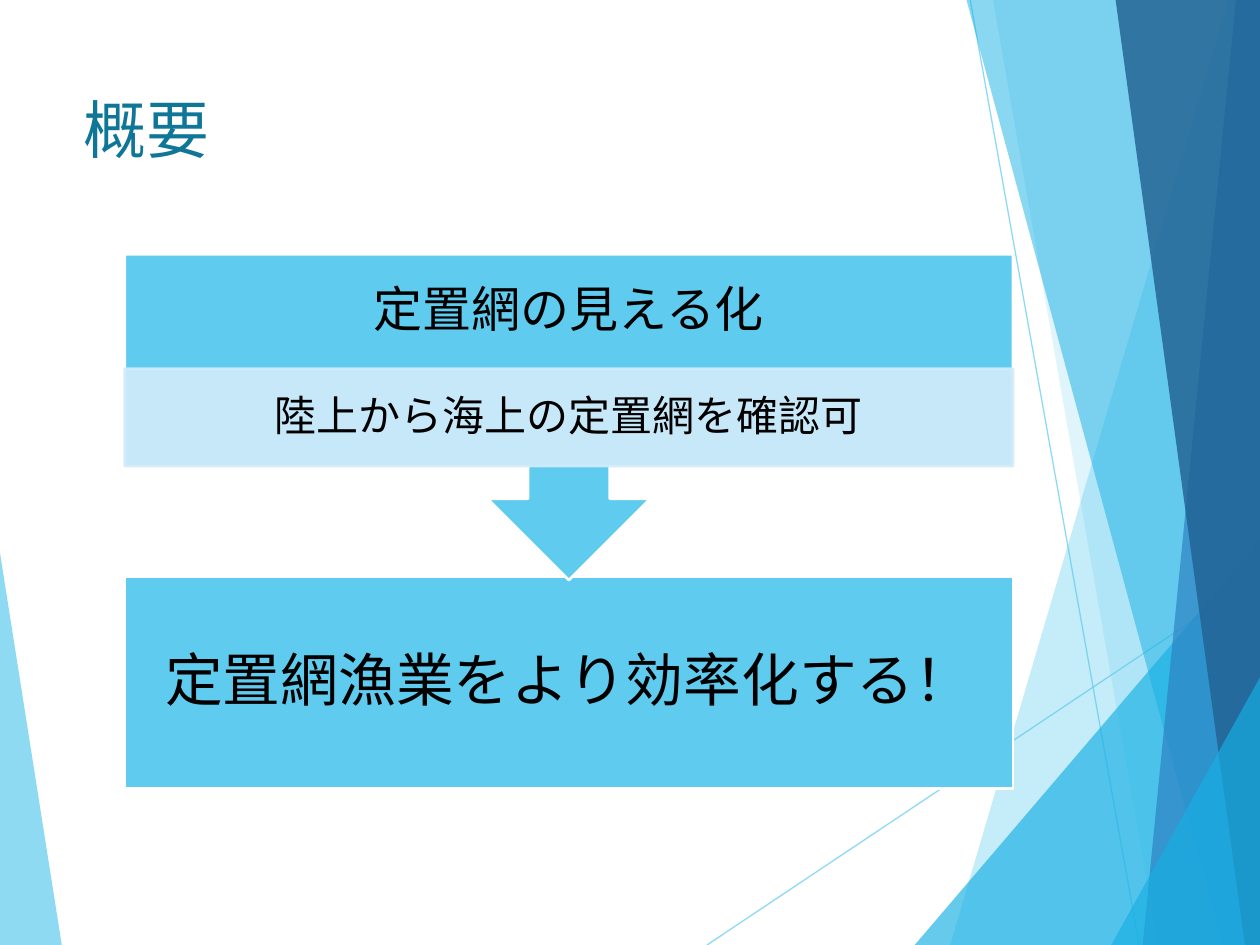
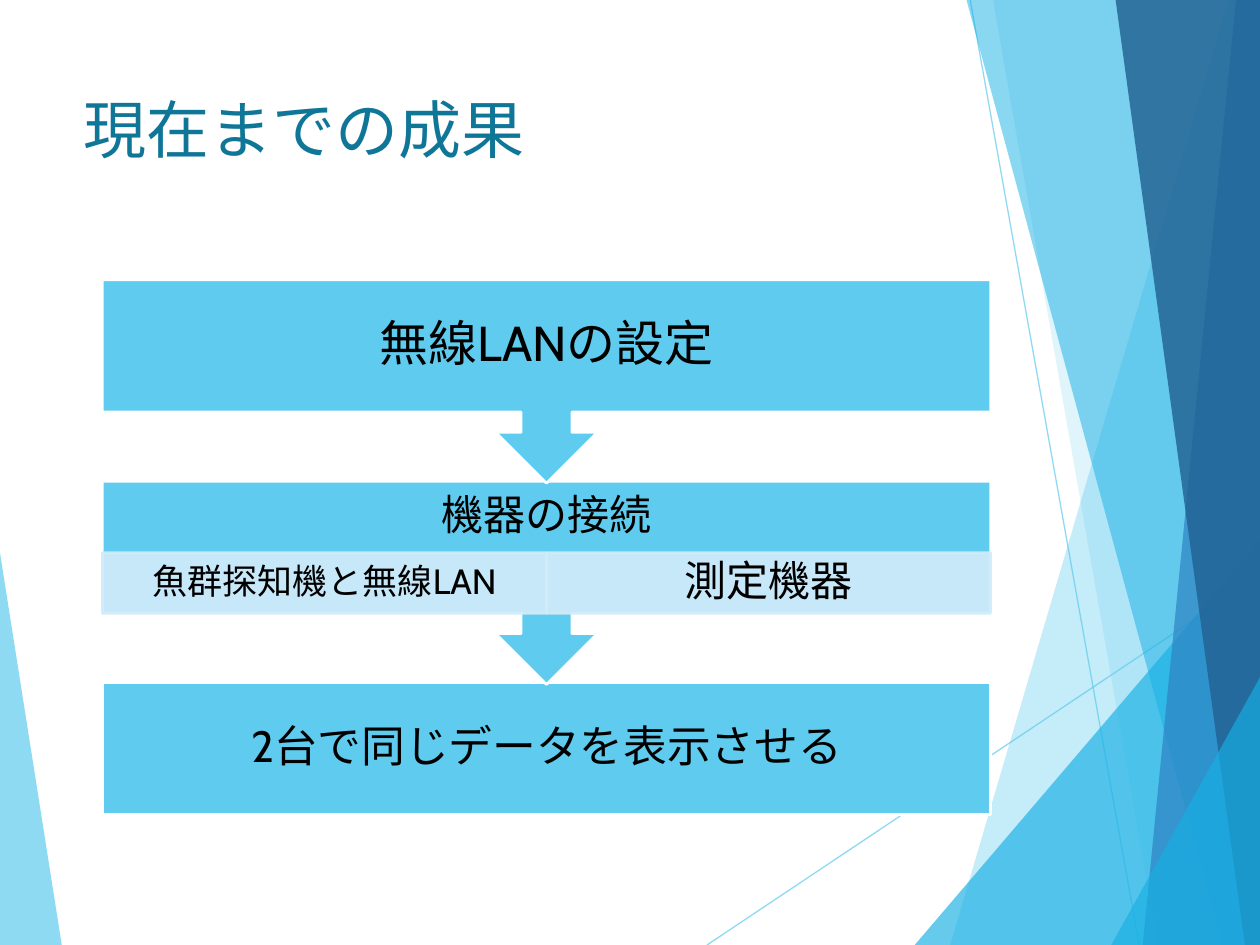
from dataclasses import dataclass

from lxml.etree import SubElement
from pptx import Presentation
from pptx.dml.color import RGBColor
from pptx.enum.shapes import MSO_CONNECTOR, MSO_SHAPE
from pptx.enum.text import MSO_ANCHOR as Anchor, MSO_AUTO_SIZE as AutoSize, PP_ALIGN as Align
from pptx.oxml.ns import qn
from pptx.util import Pt

# Shared look
FONT = "Cabin"
SKY = RGBColor(0x5F, 0xCB, 0xEF)
CYAN = RGBColor(0x17, 0xB0, 0xE4)
BLUE = RGBColor(0x2E, 0x83, 0xC3)
NAVY = RGBColor(0x22, 0x62, 0x92)
PALE = RGBColor(0xD2, 0xEC, 0xF9)
TEAL = RGBColor(0x0F, 0x76, 0x98)
WHITE = RGBColor(0xFF, 0xFF, 0xFF)
BLACK = RGBColor(0, 0, 0)

SLIDE_WIDTH, SLIDE_HEIGHT = 720, 540
FLOW_WIDTH = 507.6
BODY_SHARE = 0.65     # part of a callout above its arrow
HEADING_SHARE = 0.54  # part of a callout body above its details
OVERLAP_SHARE = 0.015
SIDE_INSET = 14


@dataclass(frozen=True)
class Facet:
    points: tuple[tuple[float, float], ...]
    color: RGBColor
    opacity: int


@dataclass(frozen=True)
class Ray:
    start: tuple[float, float]
    end: tuple[float, float]


@dataclass(frozen=True)
class Label:
    text: str
    size: int


@dataclass(frozen=True)
class Step:
    heading: Label
    details: tuple[Label, ...] = ()


@dataclass(frozen=True)
class Flow:
    title: str
    left: float
    top: float
    block_height: float
    steps: tuple[Step, ...]


# Background, from back to front
BACKGROUND = (
    Facet(((0, 316), (35.3, 540), (0, 540)), SKY, 70),
    Ray((404, 540), (720, 329)),
    Ray((554.4, 0), (651, 540)),
    Facet(((702, 0), (543, 540), (720, 540), (720, 0)), SKY, 36),
    Facet(((567.4, 0), (661.7, 540), (720, 540), (720, 0)), SKY, 20),
    Facet(((522.7, 540), (720, 309), (720, 540)), CYAN, 66),
    Facet(((552.3, 0), (698.4, 540), (720, 540), (720, 0)), CYAN, 50),
    Facet(((706.3, 0), (653, 540), (720, 540), (720, 0)), BLUE, 70),
    Facet(((637.5, 0), (711.4, 540), (720, 540), (720, 0)), NAVY, 82),
    Facet(((635, 540), (720, 387), (720, 540)), CYAN, 66),
)

FLOWS = (
    Flow("概要", 71.3, 145.4, 121, (
        Step(Label("定置網の見える化", 28), (Label("陸上から海上の定置網を確認可", 24),)),
        Step(Label("定置網漁業をより効率化する！", 33)),
    )),
    Flow("現在までの成果", 58.5, 160, 75.5, (
        Step(Label("無線LANの設定", 28)),
        Step(Label("機器の接続", 24), (Label("魚群探知機と無線LAN", 20), Label("測定機器", 24))),
        Step(Label("2台で同じデータを表示させる", 25)),
    )),
)


def set_opacity(shape, percent: int) -> None:
    for color in shape.element.spPr.iter(qn("a:srgbClr")):
        SubElement(color, qn("a:alpha"), val=str(percent * 1000))


def format_text(frame, text: str, size: int, color: RGBColor, align: Align, anchor: Anchor) -> None:
    frame.text = text
    frame.word_wrap = True
    frame.auto_size = AutoSize.NONE
    frame.vertical_anchor = anchor
    para = frame.paragraphs[0]
    para.alignment = align
    for span in para.runs:
        span.font.name = FONT
        span.font.size = Pt(size)
        span.font.color.rgb = color


def draw_facet(page, facet: Facet) -> None:
    points = [(Pt(x), Pt(y)) for x, y in facet.points]
    builder = page.shapes.build_freeform(*points[0])
    builder.add_line_segments(points[1:], close=True)
    shape = builder.convert_to_shape()
    shape.shadow.inherit = False
    shape.fill.solid()
    shape.fill.fore_color.rgb = facet.color
    shape.line.fill.background()
    set_opacity(shape, facet.opacity)


def draw_ray(page, ray: Ray) -> None:
    ends = [Pt(value) for value in ray.start + ray.end]
    line = page.shapes.add_connector(MSO_CONNECTOR.STRAIGHT, *ends)
    line.line.color.rgb = SKY
    line.line.width = Pt(0.75)
    set_opacity(line, 70)
    SubElement(line.element.spPr, qn("a:effectLst"))


def draw_block(page, kind: MSO_SHAPE, left: float, top: float, width: float, height: float,
               label: Label, fill: RGBColor, outline: RGBColor, bottom_inset: float = 0):
    block = page.shapes.add_shape(kind, Pt(left), Pt(top), Pt(width), Pt(height))
    block.shadow.inherit = False
    block.fill.solid()
    block.fill.fore_color.rgb = fill
    block.line.color.rgb = outline
    block.line.width = Pt(1.5)
    frame = block.text_frame
    format_text(frame, label.text, label.size, BLACK, Align.CENTER, Anchor.MIDDLE)
    frame.margin_left = frame.margin_right = Pt(SIDE_INSET)
    frame.margin_top = 0
    frame.margin_bottom = Pt(bottom_inset)
    frame.paragraphs[0].line_spacing = 0.9
    return block


def draw_flow(page, flow: Flow) -> None:
    callout_height = flow.block_height / BODY_SHARE
    pitch = callout_height - OVERLAP_SHARE * flow.block_height
    heading_height = flow.block_height * HEADING_SHARE
    detail_height = flow.block_height - heading_height
    last = len(flow.steps) - 1

    # Lower steps go first so that each arrow tip lies over the next block
    for index, step in reversed(list(enumerate(flow.steps))):
        top = flow.top + index * pitch
        kind, height = MSO_SHAPE.DOWN_ARROW_CALLOUT, callout_height
        if index == last:
            kind, height = MSO_SHAPE.RECTANGLE, flow.block_height
        draw_block(page, kind, flow.left, top, FLOW_WIDTH, height, step.heading, SKY, WHITE,
                   detail_height if step.details else 0)
        for column, detail in enumerate(step.details):
            width = FLOW_WIDTH / len(step.details)
            band = draw_block(page, MSO_SHAPE.RECTANGLE, flow.left + column * width,
                              top + heading_height, width, detail_height, detail, PALE, PALE)
            set_opacity(band, 90)


def draw_title(page, text: str) -> None:
    title = page.shapes.title
    title.left, title.top, title.width, title.height = Pt(40.3), Pt(48), Pt(507.6), Pt(104)
    format_text(title.text_frame, text, 36, TEAL, Align.LEFT, Anchor.TOP)
    title.element.getparent().append(title.element)  # above the background


def add_page(deck, flow: Flow) -> None:
    page = deck.slides.add_slide(deck.slide_layouts[5])
    for part in BACKGROUND:
        if isinstance(part, Facet):
            draw_facet(page, part)
        else:
            draw_ray(page, part)
    draw_title(page, flow.title)
    draw_flow(page, flow)


def main() -> None:
    deck = Presentation()
    deck.slide_width, deck.slide_height = Pt(SLIDE_WIDTH), Pt(SLIDE_HEIGHT)
    for flow in FLOWS:
        add_page(deck, flow)
    deck.save("out.pptx")


if __name__ == "__main__":
    main()
